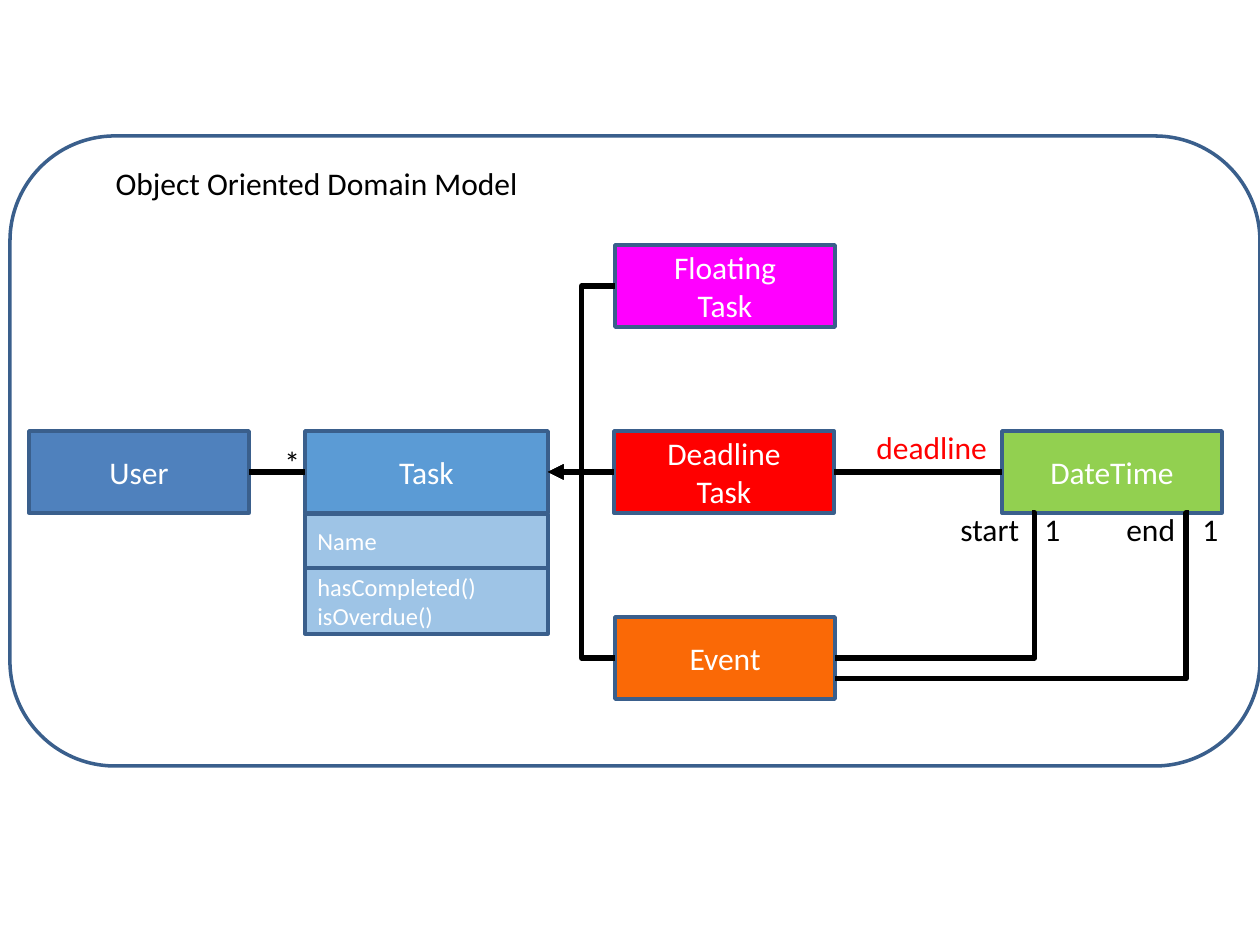
import lxml.etree
import pptx
import pptx.dml.color
import pptx.enum.shapes
import pptx.enum.text
import pptx.oxml.ns
import pptx.util

PX = 914400 / 126
COLORS = {
    "white": "FFFFFF", "black": "000000", "edge": "3A5F8C", "user": "4F81BD",
    "task": "5B9BD5", "part": "9EC4E6", "float": "FF00FF", "red": "FF0000",
    "event": "FA6906", "date": "92D050",
}
SHAPE = pptx.enum.shapes.MSO_SHAPE
LINK = pptx.enum.shapes.MSO_CONNECTOR
ALIGN = pptx.enum.text.PP_ALIGN
ANCHOR = pptx.enum.text.MSO_ANCHOR
FIT = pptx.enum.text.MSO_AUTO_SIZE
qn = pptx.oxml.ns.qn


def emu(*lengths):
    return [pptx.util.Emu(round(n * PX)) for n in lengths]


def write(frame, text, size=18, color="black", align=ALIGN.LEFT,
          anchor=ANCHOR.TOP, wrap=True, fit=FIT.NONE):
    frame.text = text
    frame.word_wrap = wrap
    frame.auto_size = fit
    frame.vertical_anchor = anchor
    for para in frame.paragraphs:
        para.alignment = align
        font = para.runs[0].font
        font.name = "Calibri"
        font.size = pptx.util.Pt(size)
        font.color.rgb = pptx.dml.color.RGBColor.from_string(COLORS[color])


deck = pptx.Presentation()
deck.slide_width, deck.slide_height = emu(1260, 945)
slide = deck.slides.add_slide(deck.slide_layouts[5])
shapes = slide.shapes
edge = pptx.dml.color.RGBColor.from_string(COLORS["edge"])

title = shapes.title
title.left, title.top, title.width, title.height = emu(103, 158, 432, 50)
write(title.text_frame, "Object Oriented Domain Model", wrap=False,
      fit=FIT.SHAPE_TO_FIT_TEXT)

frame = shapes.add_shape(SHAPE.ROUNDED_RECTANGLE, *emu(10, 136, 1250, 630))
frame.shadow.inherit = False
frame.fill.background()
frame.line.color.rgb = edge
frame.line.width = pptx.util.Pt(2)

# Class boxes: text, left, top, width, height, fill, size, alignment
boxes = {}
for text, left, top, width, height, fill, size, align in [
    ("User", 29, 431, 220, 82, "user", 18, ALIGN.CENTER),
    ("Task", 305, 431, 243, 82, "task", 18, ALIGN.CENTER),
    ("Name", 305, 514, 243, 54, "part", 14, ALIGN.LEFT),
    ("hasCompleted()\nisOverdue()", 305, 568, 243, 66, "part", 14, ALIGN.LEFT),
    ("Floating\nTask", 615, 245, 220, 82, "float", 18, ALIGN.CENTER),
    ("Deadline\nTask", 614, 431, 220, 82, "red", 18, ALIGN.CENTER),
    ("Event", 615, 617, 220, 82, "event", 18, ALIGN.CENTER),
    ("DateTime", 1002, 431, 220, 82, "date", 18, ALIGN.CENTER),
]:
    box = shapes.add_shape(SHAPE.RECTANGLE, *emu(left, top, width, height))
    box.shadow.inherit = False
    box.fill.solid()
    box.fill.fore_color.rgb = pptx.dml.color.RGBColor.from_string(COLORS[fill])
    box.line.color.rgb = edge
    box.line.width = pptx.util.Pt(2)
    write(box.text_frame, text, size=size, color="white", align=align,
          anchor=ANCHOR.MIDDLE)
    boxes[text.split("\n")[0]] = box

# Links: start, end, bend as a share of the width, arrowhead, joined boxes
for start, end, bend, arrow, ends in [
    ((305, 472), (249, 472), None, False, ("Task", 1, "User", 3)),
    ((614, 472), (548, 472), None, True, ("Deadline", 1, "Task", 3)),
    ((834, 472), (1002, 472), None, False, ("Deadline", 3, "DateTime", 1)),
    ((615, 286), (548, 472), 0.5, True, None),
    ((615, 658), (548, 472), 0.5, True, None),
    ((835, 658), (1032, 513), 1.014, False, None),
    ((835, 679), (1189, 513), 0.992, False, None),
]:
    kind = LINK.ELBOW if bend else LINK.STRAIGHT
    link = shapes.add_connector(kind, *emu(*start, *end))
    if ends:
        link.begin_connect(boxes[ends[0]], ends[1])
        link.end_connect(boxes[ends[2]], ends[3])
    link.line.color.rgb = pptx.dml.color.RGBColor.from_string(COLORS["black"])
    link.line.width = pptx.util.Pt(3)
    props = link._element.spPr
    if bend:
        guides = props.find(qn("a:prstGeom")).find(qn("a:avLst"))
        lxml.etree.SubElement(guides, qn("a:gd"), name="adj1",
                              fmla=f"val {round(bend * 100000)}")
    if arrow:
        lxml.etree.SubElement(props.find(qn("a:ln")), qn("a:tailEnd"),
                              type="triangle")
    lxml.etree.SubElement(props, qn("a:effectLst"))

for text, left, top, width, color, wrap in [
    ("*", 272, 437, 35, "black", True),
    ("deadline", 864, 422, 137, "red", False),
    ("start", 948, 504, 87, "black", False),
    ("1", 1032, 504, 42, "black", False),
    ("end", 1114, 504, 74, "black", False),
    ("1", 1190, 504, 42, "black", False),
]:
    label = shapes.add_textbox(*emu(left, top, width, 50))
    write(label.text_frame, text, color=color, wrap=wrap,
          fit=FIT.SHAPE_TO_FIT_TEXT)

deck.save("out.pptx")
